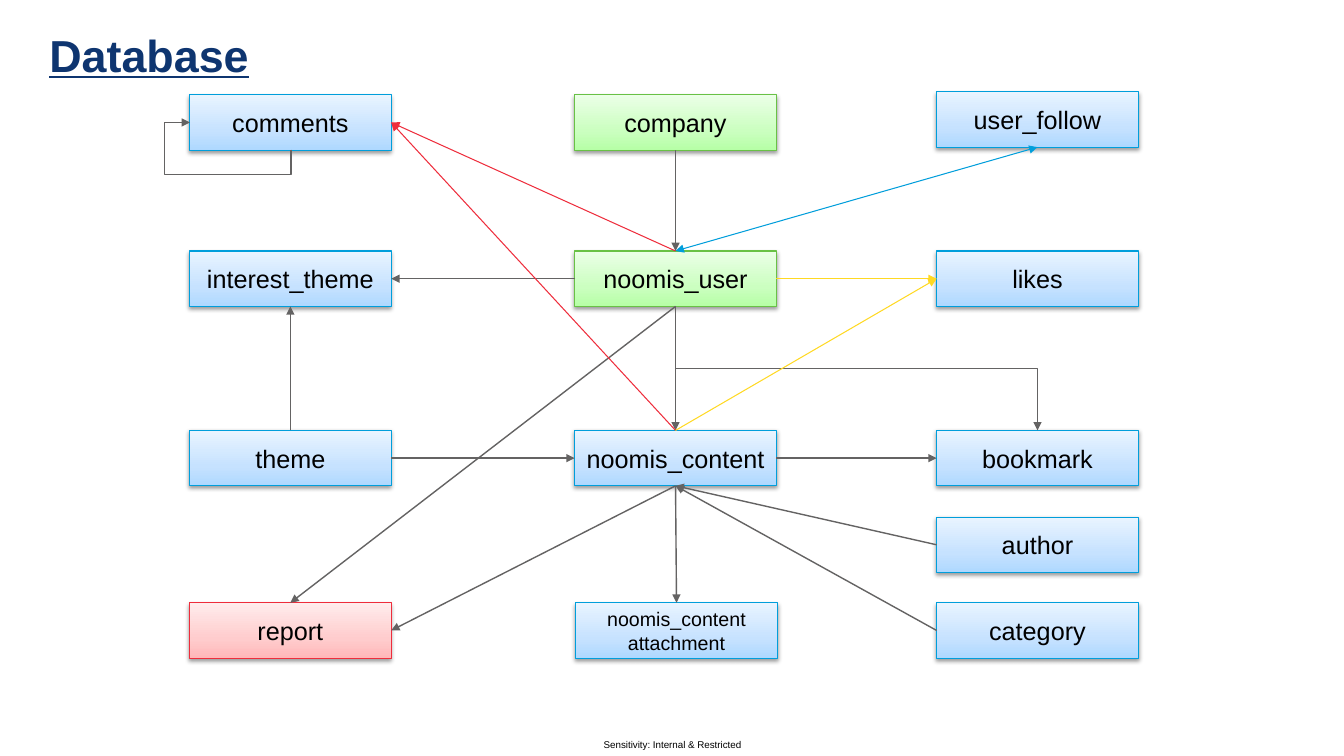
import copy
import pptx
import pptx.util
import pptx.oxml
import pptx.oxml.ns
import pptx.dml.color
import pptx.enum.shapes
import pptx.enum.text

Inches = pptx.util.Inches
Pt = pptx.util.Pt
qn = pptx.oxml.ns.qn
NS = pptx.oxml.ns.nsdecls("a")
LINKS = pptx.enum.shapes.MSO_CONNECTOR
ANCHOR = pptx.enum.text.MSO_ANCHOR
ALIGN = pptx.enum.text.PP_ALIGN


class Theme:
    font = "Arial"
    ink, navy = "000000", "0E3570"
    gray, red, gold, cyan = "646363", "EE2D3C", "FFD923", "009EDB"
    # Outline, then gradient stops from bottom to top
    blue = (cyan, "AED8FF", "C6E2FF", "E9F4FF")
    green = ("69C146", "B6FFA6", "CBFFC0", "EBFFE7")
    pink = (red, "FFB7B9", "FFCCCD", "FFECEC")
    title, body, small, foot = Pt(32), Pt(18), Pt(14), Pt(7)


def rgb(code):
    return pptx.dml.color.RGBColor.from_string(code)


def write(para, text, size, color=Theme.ink):
    run = para.add_run()
    run.text = text
    run.font.name = Theme.font
    run.font.size = size
    run.font.color.rgb = rgb(color)
    return run


deck = pptx.Presentation()
deck.slide_width, deck.slide_height = Inches(13.33), Inches(7.5)
slide = deck.slides.add_slide(deck.slide_layouts[6])
shapes = slide.shapes

# Footer
foot = shapes.add_textbox(Inches(5.85), Inches(7.28), Inches(1.64), Inches(0.22))
frame = foot.text_frame
frame.margin_left = frame.margin_right = frame.margin_top = frame.margin_bottom = 0
frame.vertical_anchor = ANCHOR.MIDDLE
frame.word_wrap = True
frame.paragraphs[0].alignment = ALIGN.CENTER
write(frame.paragraphs[0], "Sensitivity: Internal & Restricted", Theme.foot)

# Title: the underlined tab carries the rule to the slide edge
title = shapes.add_textbox(0, Inches(0.25), Inches(8.07), Inches(0.57))
frame = title.text_frame
frame.margin_left = 0
frame.word_wrap = True
para = frame.paragraphs[0]
para.line_spacing = 0.98
para._p.get_or_add_pPr().append(pptx.oxml.parse_xml(
    f'<a:tabLst {NS}><a:tab pos="{Inches(0.49)}" algn="l"/></a:tabLst>'))
run = write(para, "\tDatabase", Theme.title, Theme.navy)
run.font.bold = run.font.underline = True

# Tables of the schema: key, column, top, palette
LEFT, MID, RIGHT = 1.88, 5.7, 9.29
WIDE, HIGH = 2, 0.55
ROWS = 0.94, 2.49, 4.27, 5.98
tables = [
    ("comments", LEFT, ROWS[0], Theme.blue),
    ("company", MID, ROWS[0], Theme.green),
    ("user_follow", RIGHT, 0.91, Theme.blue),
    ("interest_theme", LEFT, ROWS[1], Theme.blue),
    ("noomis_user", MID, ROWS[1], Theme.green),
    ("likes", RIGHT, ROWS[1], Theme.blue),
    ("theme", LEFT, ROWS[2], Theme.blue),
    ("noomis_content", MID, ROWS[2], Theme.blue),
    ("bookmark", RIGHT, ROWS[2], Theme.blue),
    ("author", RIGHT, 5.13, Theme.blue),
    ("report", LEFT, ROWS[3], Theme.pink),
    ("noomis_content\nattachment", MID + 0.01, ROWS[3], Theme.blue),
    ("category", RIGHT, ROWS[3], Theme.blue),
]
boxes = {}
for name, left, top, (edge, *tints) in tables:
    box = shapes.add_shape(pptx.enum.shapes.MSO_SHAPE.RECTANGLE,
                           Inches(left), Inches(top), Inches(WIDE), Inches(HIGH))
    boxes[name] = box
    box.fill.gradient()
    box.fill.gradient_angle = 90
    props = box._element.spPr
    stops = props.find(".//" + qn("a:gsLst"))
    stops.insert(1, copy.deepcopy(stops[0]))
    for stop, tint, place in zip(box.fill.gradient_stops, tints, (0, 0.35, 1)):
        stop.color.rgb = rgb(tint)
        stop.position = place
    box.line.color.rgb = rgb(edge)
    box.line.width = Pt(0.75)
    box.shadow.inherit = False
    props.find(qn("a:effectLst")).append(pptx.oxml.parse_xml(
        f'<a:outerShdw {NS} blurRad="{Pt(3.1)}" dist="{Pt(1.6)}" dir="5400000" '
        f'rotWithShape="0"><a:srgbClr val="{Theme.ink}"><a:alpha val="38000"/>'
        '</a:srgbClr></a:outerShdw>'))
    frame = box.text_frame
    frame.word_wrap = True
    frame.vertical_anchor = ANCHOR.MIDDLE
    words = name.split("\n")
    for i, word in enumerate(words):
        para = frame.add_paragraph() if i else frame.paragraphs[0]
        para.alignment = ALIGN.CENTER
        write(para, word, Theme.small if len(words) > 1 else Theme.body)

# Arrows: start, side, end, side, colour; sides are rectangle connection sites
UP, WEST, DOWN, EAST = range(4)
arrows = [
    ("company", DOWN, "noomis_user", UP, Theme.gray),
    ("noomis_content", EAST, "bookmark", WEST, Theme.gray),
    ("noomis_user", DOWN, "bookmark", UP, Theme.gray),
    ("noomis_user", DOWN, "noomis_content", UP, Theme.gray),
    ("theme", EAST, "noomis_content", WEST, Theme.gray),
    ("noomis_user", WEST, "interest_theme", EAST, Theme.gray),
    ("theme", UP, "interest_theme", DOWN, Theme.gray),
    ("noomis_user", DOWN, "report", UP, Theme.gray),
    ("category", WEST, "noomis_content", DOWN, Theme.gray),
    ("comments", DOWN, "comments", WEST, Theme.gray),
    ("noomis_content", UP, "comments", EAST, Theme.red),
    ("noomis_user", UP, "comments", EAST, Theme.red),
    ("noomis_user", EAST, "likes", WEST, Theme.gold),
    ("noomis_content", UP, "likes", WEST, Theme.gold),
    ("noomis_user", UP, "user_follow", DOWN, Theme.cyan),
    ("noomis_content", DOWN, "report", EAST, Theme.gray),
    ("noomis_content", DOWN, "noomis_content\nattachment", UP, Theme.gray),
    ("author", WEST, "noomis_content", DOWN, Theme.gray),
]
# Elbows: frame before turning, degrees, preset, bend adjustments
bends = {
    ("noomis_user", "bookmark"):
        ((7.88, 1.86, 1.23, 3.59), 270, "bentConnector3", [50000]),
    ("comments", "comments"):
        ((2.25, 0.85, 0.27, 1), 90, "bentConnector4", [-91200, 125000]),
}
for start, out, end, into, color in arrows:
    bend = bends.get((start, end))
    link = shapes.add_connector(LINKS.ELBOW if bend else LINKS.STRAIGHT, 0, 0, 0, 0)
    link.begin_connect(boxes[start], out)
    link.end_connect(boxes[end], into)
    props = link._element.spPr
    if bend:
        area, turn, preset, bits = bend
        link.left, link.top, link.width, link.height = map(Inches, area)
        form = props.find(qn("a:xfrm"))
        form.attrib.pop("flipV", None)
        form.set("flipH", "1")
        form.set("rot", str(turn * 60000))
        shape = props.find(qn("a:prstGeom"))
        shape.set("prst", preset)
        guides = shape.find(qn("a:avLst"))
        for i, bit in enumerate(bits, 1):
            guides.append(pptx.oxml.parse_xml(
                f'<a:gd {NS} name="adj{i}" fmla="val {bit}"/>'))
    link.line.color.rgb = rgb(color)
    link.line.width = Pt(1 if color == Theme.gray else 0.75)
    line = props.find(qn("a:ln"))
    tips = ["headEnd", "tailEnd"] if color == Theme.cyan else ["tailEnd"]
    for tip in tips:
        line.append(pptx.oxml.parse_xml(f'<a:{tip} {NS} type="triangle"/>'))
    props.append(pptx.oxml.parse_xml(f"<a:effectLst {NS}/>"))

deck.save("out.pptx")
